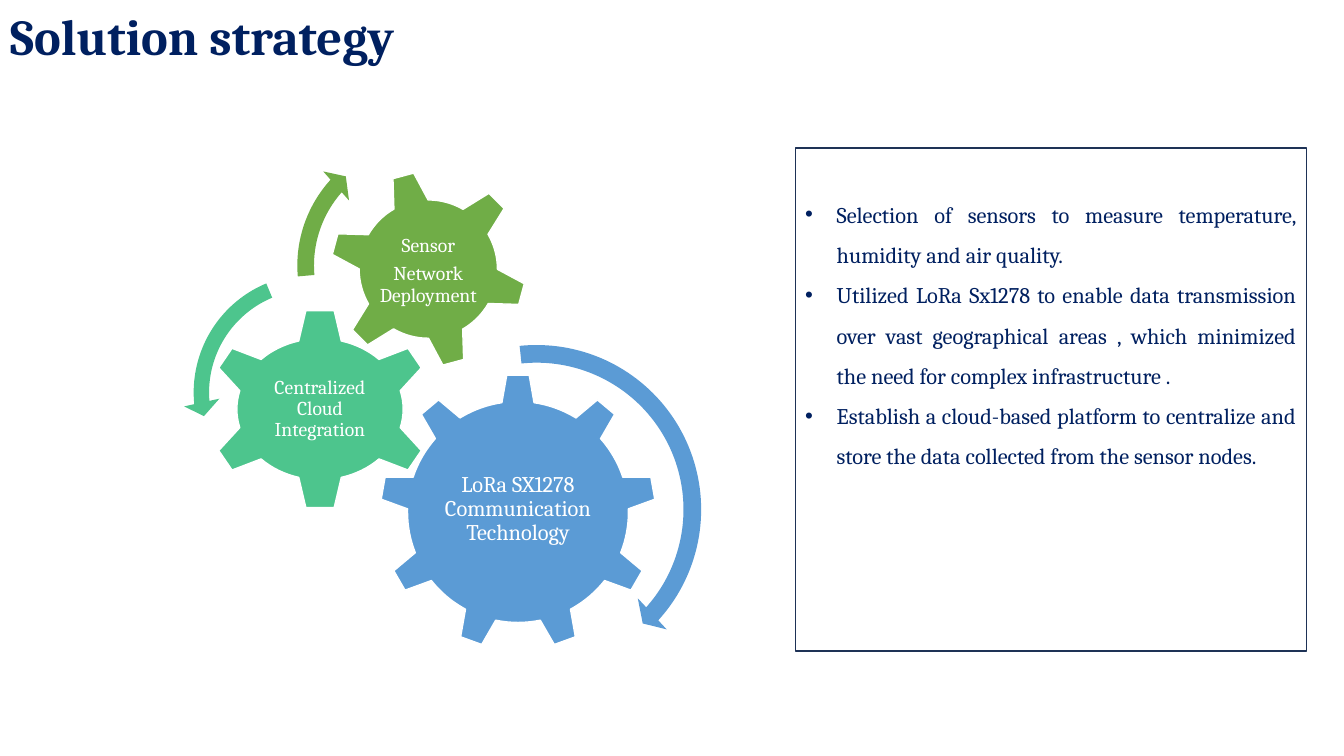
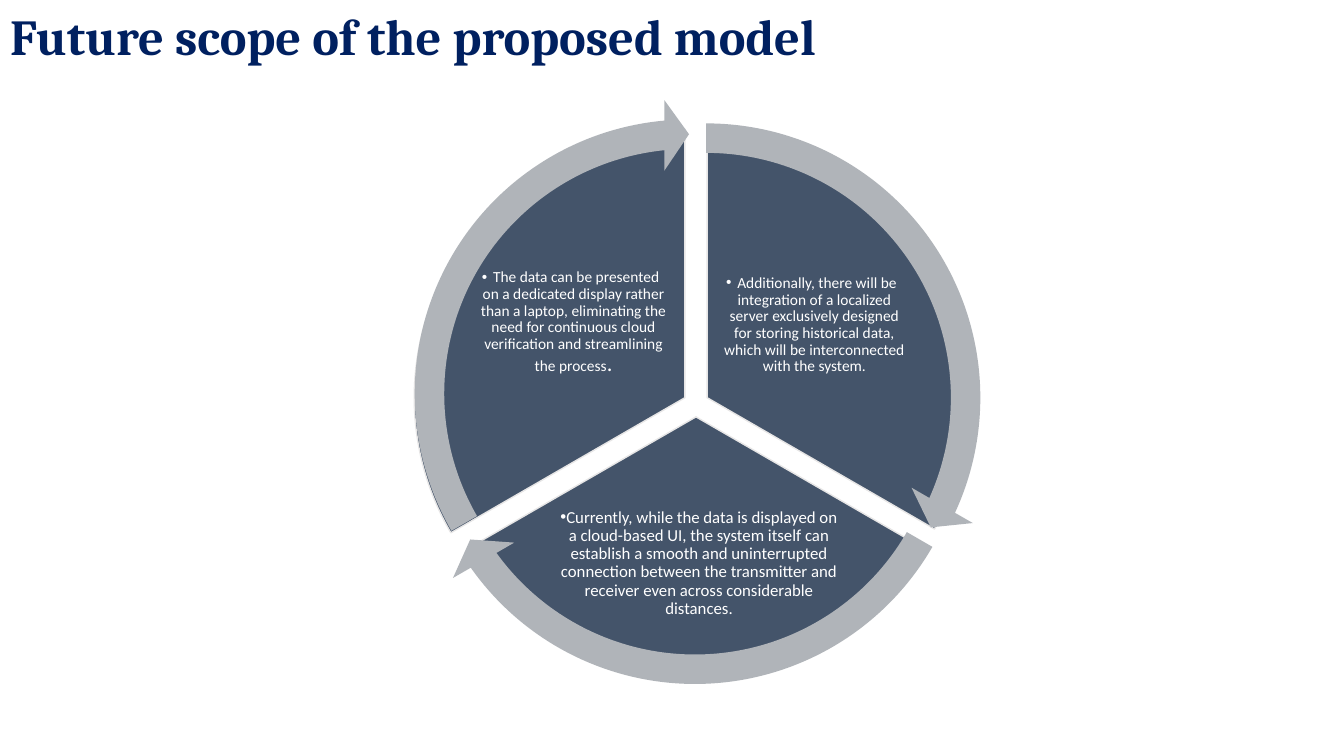
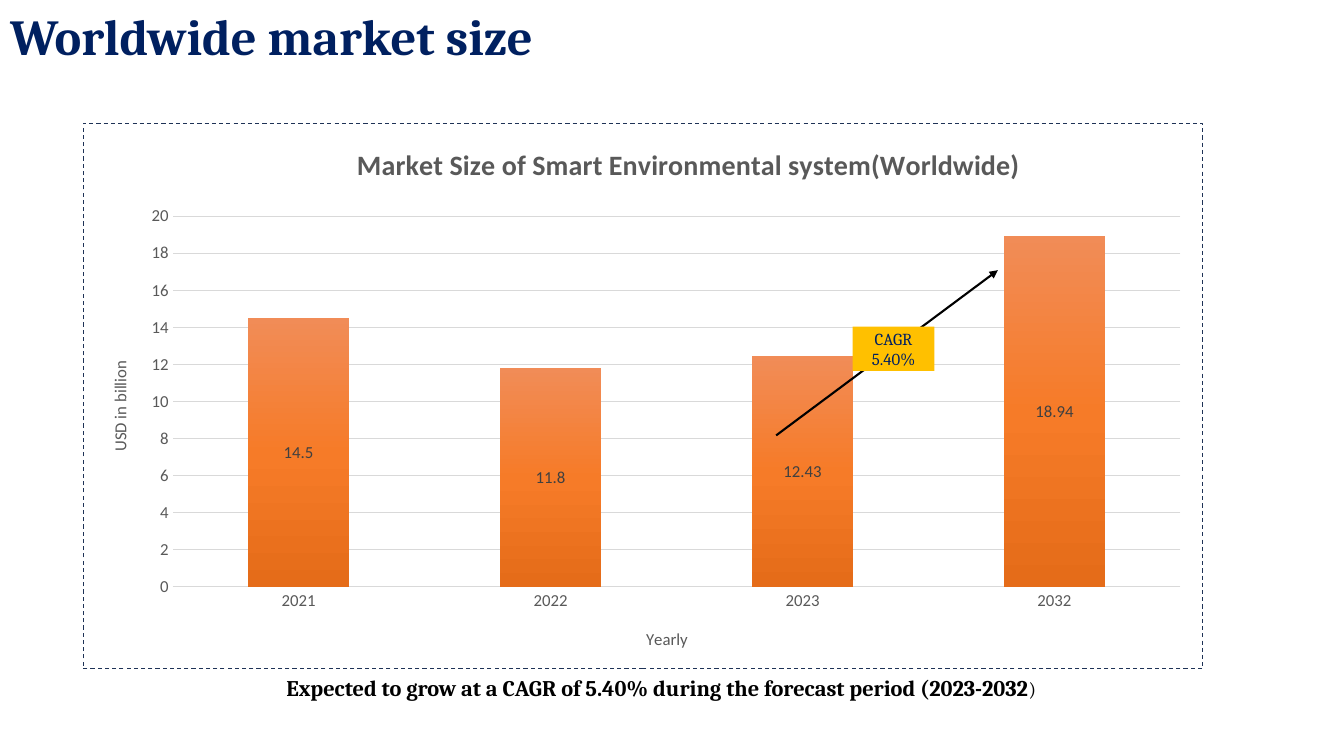
from dataclasses import dataclass

from lxml import etree
from pptx import Presentation
from pptx.chart.data import CategoryChartData
from pptx.dml.color import RGBColor
from pptx.enum.chart import XL_CHART_TYPE, XL_LABEL_POSITION, XL_TICK_MARK
from pptx.enum.shapes import MSO_CONNECTOR, MSO_SHAPE
from pptx.enum.text import MSO_ANCHOR, MSO_AUTO_SIZE, PP_ALIGN
from pptx.oxml import parse_xml
from pptx.oxml.ns import nsdecls, qn
from pptx.util import Pt


@dataclass(frozen=True)
class Theme:
    navy: str = "002060"
    frame: str = "1E3256"
    white: str = "FFFFFF"
    black: str = "000000"
    blue: str = "5B9BD5"
    teal: str = "4DC58D"
    green: str = "70AD47"
    slate: str = "44546A"
    pale: str = "E7E6E6"
    silver: str = "B0B4B9"
    amber: str = "FFC000"
    chart_text: str = "595959"
    label_text: str = "404040"
    grid: str = "D9D9D9"
    bar_stops: tuple = ((0, "F18C57"), (50, "F67B28"), (100, "E56C19"))
    serif: str = "Cambria"
    sans: str = "Calibri"
    title_size: float = 36
    chart_title_size: float = 20
    body_size: float = 16
    gear_size: float = 14
    small_size: float = 12
    pie_size: float = 11


THEME = Theme()
SLIDE_SIZE = (960, 540)
TITLE_BOX = (0, 0, 720, 51.1)

# Boxes are left, top, width, height in points; runs are (text, size).
GEARS = [
    dict(kind=MSO_SHAPE.GEAR_9, box=(271.4, 267.1, 197.3, 197.3), rotation=0, fill=THEME.blue,
         text_box=(311, 313.2, 118.1, 101.5),
         runs=[("LoRa SX1278 Communication Technology", THEME.body_size)]),
    dict(kind=MSO_SHAPE.GEAR_6, box=(147.6, 220.3, 162, 144), rotation=0, fill=THEME.teal,
         text_box=(186.5, 257, 84.2, 70.6),
         runs=[("Centralized Cloud Integration", THEME.gear_size)]),
    dict(kind=MSO_SHAPE.GEAR_6, box=(235.4, 121.7, 141.1, 141.1), rotation=345, fill=THEME.green,
         text_box=(266.4, 152.6, 79.2, 79.2),
         runs=[("Sensor", THEME.gear_size), (" ", 18), ("Network", THEME.gear_size),
               (" ", 18), ("Deployment", THEME.gear_size)]),
]
# kind, left, top, diameter, adjustments, fill
GEAR_ARROWS = [
    (MSO_SHAPE.CIRCULAR_ARROW, 257, 237.6, 252.7,
     (0.05, 2.99, 25.24, 158.44, 0.06), THEME.blue),
    (MSO_SHAPE.LEFT_CIRCULAR_ARROW, 131, 188.6, 183.6,
     (0.06, 4.3, 104.89, 148.38, 0.07), THEME.teal),
    (MSO_SHAPE.CIRCULAR_ARROW, 204.5, 90.7, 198,
     (0.06, 3.94, 133.14, 105.08, 0.07), THEME.green),
]
STRATEGY_FRAME = (568.1, 105.8, 365, 359.3)
STRATEGY_BOX = (568.1, 130.3, 365, 265.7)
STRATEGY_POINTS = [
    "Selection of sensors to measure temperature, humidity and air quality.",
    "Utilized LoRa Sx1278 to enable data transmission over vast geographical areas , "
    "which minimized the need for complex infrastructure .",
    "Establish a cloud-based platform to centralize and store the data collected "
    "from the sensor nodes.",
]

PIES = [
    dict(box=(317.5, 96.5, 375.1, 375.1), angles=(162, 18), hanging=8,
         text_box=(514.8, 176.4, 133.9, 111.6),
         runs=[("Additionally, there will be integration of a localized server exclusively "
                "designed for storing historical data, which will be interconnected with "
                "the system.", THEME.pie_size)]),
    dict(box=(309.6, 110.2, 375.1, 375.1), angles=(18, 90), hanging=0,
         text_box=(398.9, 353.5, 200.9, 97.9),
         runs=[("Currently, while the data is displayed on a cloud-based UI, the system "
                "itself can establish a smooth and uninterrupted connection between the "
                "transmitter and receiver even across considerable distances.",
                THEME.small_size)]),
    dict(box=(295.9, 92.2, 386.6, 383.8), angles=(90, 162), hanging=8,
         text_box=(340.6, 173.5, 138.2, 114.5),
         runs=[("The data can be presented on a dedicated display rather than a laptop, "
                "eliminating the need for continuous cloud verification and streamlining "
                "the process", THEME.pie_size), (".", THEME.body_size)]),
]
CYCLE_DIAMETER = 421.2
# left, top, head angle, tail angle
CYCLE_ARROWS = [
    (293.8, 73.4, 14.73, 161.99),
    (285.8, 82.1, 86.72, 18),
    (281.5, 70.6, 158.73, 90),
]

MARKET = {"2021": 14.5, "2022": 11.8, "2023": 12.43, "2032": 18.94}
CHART_BOX = (59, 87.8, 800.6, 390.2)
CHART_TITLE = "Market Size of Smart Environmental system(Worldwide)"
CAPTION_BOX = (72, 478, 800.6, 26.6)
CAPTION = "Expected to grow at a CAGR of 5.40% during the forecast period (2023-2032"
GROWTH_LINE = (554.4, 311, 712.8, 193)
GROWTH_BOX = (609.1, 233.3, 58.3, 31.7)


def rgb(value):
    return RGBColor.from_string(value)


def points(values):
    return [Pt(value) for value in values]


def apply(target, **values):
    for name, value in values.items():
        setattr(target, name, value)


def style_font(font, size, color, name=THEME.serif, bold=False):
    apply(font, size=Pt(size), name=name, bold=bold)
    font.color.rgb = rgb(color)


def add_runs(paragraph, runs, **font_format):
    for text, size in runs:
        run = paragraph.add_run()
        run.text = text
        style_font(run.font, size, **font_format)


def set_bullet(paragraph, margin, indent):
    properties = paragraph._p.get_or_add_pPr()
    properties.set("marL", str(Pt(margin)))
    properties.set("indent", str(Pt(indent)))
    etree.SubElement(properties, qn("a:buFont")).set("typeface", "Arial")
    etree.SubElement(properties, qn("a:buChar")).set("char", "•")


def add_slide(presentation, title):
    slide = presentation.slides.add_slide(presentation.slide_layouts[5])
    shape = slide.shapes.title
    apply(shape, **dict(zip(("left", "top", "width", "height"), points(TITLE_BOX))))
    apply(shape.text_frame, vertical_anchor=MSO_ANCHOR.TOP, word_wrap=True,
          auto_size=MSO_AUTO_SIZE.NONE)
    paragraph = shape.text_frame.paragraphs[0]
    paragraph.alignment = PP_ALIGN.LEFT
    add_runs(paragraph, [(title, THEME.title_size)], color=THEME.navy, bold=True)
    return slide


def add_shape(slide, kind, box, fill=None, line=None, adjustments=(), rotation=0):
    shape = slide.shapes.add_shape(kind, *points(box))
    shape.shadow.inherit = False
    shape.rotation = rotation
    for index, value in enumerate(adjustments):
        shape.adjustments[index] = value
    if fill:
        shape.fill.solid()
        shape.fill.fore_color.rgb = rgb(fill)
    else:
        shape.fill.background()
    if line:
        shape.line.color.rgb = rgb(line)
        shape.line.width = Pt(1)
    else:
        shape.line.fill.background()
    return shape


def add_text_box(slide, box):
    frame = slide.shapes.add_textbox(*points(box)).text_frame
    frame.word_wrap = True
    return frame


def add_diagram_text(slide, box, runs, font, hanging=None):
    """Centred white text; a hanging value gives it a bullet."""
    frame = add_text_box(slide, box)
    inset = Pt(1.4)
    apply(frame, vertical_anchor=MSO_ANCHOR.MIDDLE, margin_left=inset, margin_right=inset,
          margin_top=inset, margin_bottom=inset)
    paragraph = frame.paragraphs[0]
    if hanging is not None:
        set_bullet(paragraph, 0, -hanging)
    apply(paragraph, alignment=PP_ALIGN.CENTER, line_spacing=0.9)
    add_runs(paragraph, runs, color=THEME.white, name=font)


def build_strategy(presentation):
    slide = add_slide(presentation, "Solution strategy")
    for gear in GEARS:
        add_shape(slide, gear["kind"], gear["box"], gear["fill"], THEME.white,
                  rotation=gear["rotation"])
        add_diagram_text(slide, gear["text_box"], gear["runs"], THEME.serif)
    for kind, left, top, diameter, adjustments, fill in GEAR_ARROWS:
        add_shape(slide, kind, (left, top, diameter, diameter), fill, adjustments=adjustments)
    add_shape(slide, MSO_SHAPE.RECTANGLE, STRATEGY_FRAME, line=THEME.frame)
    frame = add_text_box(slide, STRATEGY_BOX)
    for index, text in enumerate(STRATEGY_POINTS):
        paragraph = frame.add_paragraph() if index else frame.paragraphs[0]
        set_bullet(paragraph, 22.5, -22.5)
        apply(paragraph, alignment=PP_ALIGN.JUSTIFY, line_spacing=1.5)
        add_runs(paragraph, [(text, THEME.body_size)], color=THEME.navy)


def build_future(presentation):
    slide = add_slide(presentation, "Future scope of the proposed model")
    for pie in PIES:
        add_shape(slide, MSO_SHAPE.PIE, pie["box"], THEME.slate, THEME.pale, pie["angles"])
        add_diagram_text(slide, pie["text_box"], pie["runs"], THEME.sans, pie["hanging"])
    for left, top, head, tail in CYCLE_ARROWS:
        add_shape(slide, MSO_SHAPE.CIRCULAR_ARROW, (left, top, CYCLE_DIAMETER, CYCLE_DIAMETER),
                  THEME.silver, adjustments=(0.05, 3.28, head, tail, 0.06))


def place(element, **fractions):
    """Give a chart title or plot area a fixed place, in fractions of the chart."""
    layout = element.find(qn("c:layout"))
    if layout is None:
        layout = etree.Element(qn("c:layout"))
        element.insert(0 if element.find(qn("c:tx")) is None else 1, layout)
    manual = etree.SubElement(layout, qn("c:manualLayout"))
    values = dict(xMode="edge", yMode="edge", **fractions)
    if "w" in fractions:
        values = dict(layoutTarget="inner", **values)
    for name, value in values.items():
        etree.SubElement(manual, qn(f"c:{name}")).set("val", str(value))


def write_chart_title(title, text, size, bold, x, y):
    paragraph = title.text_frame.paragraphs[0]
    add_runs(paragraph, [(text, size)], color=THEME.chart_text, name=THEME.sans, bold=bold)
    place(title.element, x=x, y=y)


def style_bars(series):
    stops = "".join(f'<a:gs pos="{position * 1000}"><a:srgbClr val="{color}"/></a:gs>'
                    for position, color in THEME.bar_stops)
    properties = series.format.fill and series._element.get_or_add_spPr()
    properties.insert(0, parse_xml(
        f'<a:gradFill {nsdecls("a")} rotWithShape="1"><a:gsLst>{stops}</a:gsLst>'
        '<a:lin ang="5400000" scaled="0"/></a:gradFill>'))


def add_market_chart(slide):
    data = CategoryChartData()
    data.categories = list(MARKET)
    data.add_series("Series 1", list(MARKET.values()))
    chart = slide.shapes.add_chart(XL_CHART_TYPE.COLUMN_STACKED, *points(CHART_BOX), data).chart
    style_font(chart.font, THEME.small_size, THEME.chart_text, THEME.sans)
    apply(chart, has_legend=False, has_title=True)
    write_chart_title(chart.chart_title, CHART_TITLE, THEME.chart_title_size, True, 0.24, 0.03)

    category_axis, value_axis = chart.category_axis, chart.value_axis
    for axis, text, x, y in ((category_axis, "Yearly", 0.5, 0.92),
                             (value_axis, "USD in billion", 0.02, 0.43)):
        apply(axis, major_tick_mark=XL_TICK_MARK.NONE, minor_tick_mark=XL_TICK_MARK.NONE)
        style_font(axis.tick_labels.font, THEME.small_size, THEME.chart_text, THEME.sans)
        write_chart_title(axis.axis_title, text, THEME.small_size, False, x, y)
    apply(value_axis, minimum_scale=0, maximum_scale=20, major_unit=2, has_major_gridlines=True)
    value_axis.format.line.fill.background()
    for line, width in ((category_axis.format.line, 1),
                        (value_axis.major_gridlines.format.line, 0.75)):
        line.color.rgb = rgb(THEME.grid)
        line.width = Pt(width)

    plot = chart.plots[0]
    apply(plot, gap_width=150, overlap=100, vary_by_categories=False, has_data_labels=True)
    apply(plot.data_labels, show_value=True, position=XL_LABEL_POSITION.CENTER)
    style_font(plot.data_labels.font, THEME.small_size, THEME.label_text, THEME.sans)
    style_bars(plot.series[0])

    chart_element = chart.element.find(qn("c:chart"))
    place(chart_element.find(qn("c:plotArea")), x=0.08, y=0.17, w=0.9, h=0.68)
    chart_element.addnext(parse_xml(
        f'<c:spPr {nsdecls("c", "a")}><a:noFill/><a:ln w="{Pt(0.75)}"><a:solidFill>'
        f'<a:srgbClr val="{THEME.frame}"/></a:solidFill><a:prstDash val="dash"/></a:ln></c:spPr>'))


def add_growth_arrow(slide):
    connector = slide.shapes.add_connector(MSO_CONNECTOR.STRAIGHT, *points(GROWTH_LINE))
    connector.line.color.rgb = rgb(THEME.black)
    connector.line.width = Pt(1.5)
    etree.SubElement(connector.line._get_or_add_ln(), qn("a:tailEnd")).set("type", "triangle")
    etree.SubElement(connector._element.spPr, qn("a:effectLst"))


def build_market(presentation):
    slide = add_slide(presentation, "Worldwide market size")
    add_market_chart(slide)
    caption = add_text_box(slide, CAPTION_BOX).paragraphs[0]
    caption.alignment = PP_ALIGN.CENTER
    add_runs(caption, [(CAPTION, THEME.body_size)], color=THEME.black, bold=True)
    add_runs(caption, [(")", THEME.gear_size)], color=THEME.black)
    add_growth_arrow(slide)
    growth = add_shape(slide, MSO_SHAPE.RECTANGLE, GROWTH_BOX, THEME.amber)
    apply(growth.text_frame, word_wrap=True, vertical_anchor=MSO_ANCHOR.MIDDLE)
    paragraph = growth.text_frame.paragraphs[0]
    paragraph.alignment = PP_ALIGN.CENTER
    add_runs(paragraph, [("CAGR 5.40%", THEME.small_size)], color=THEME.navy)


def main():
    presentation = Presentation()
    presentation.slide_width, presentation.slide_height = points(SLIDE_SIZE)
    for build in (build_strategy, build_future, build_market):
        build(presentation)
    presentation.save("out.pptx")


if __name__ == "__main__":
    main()
